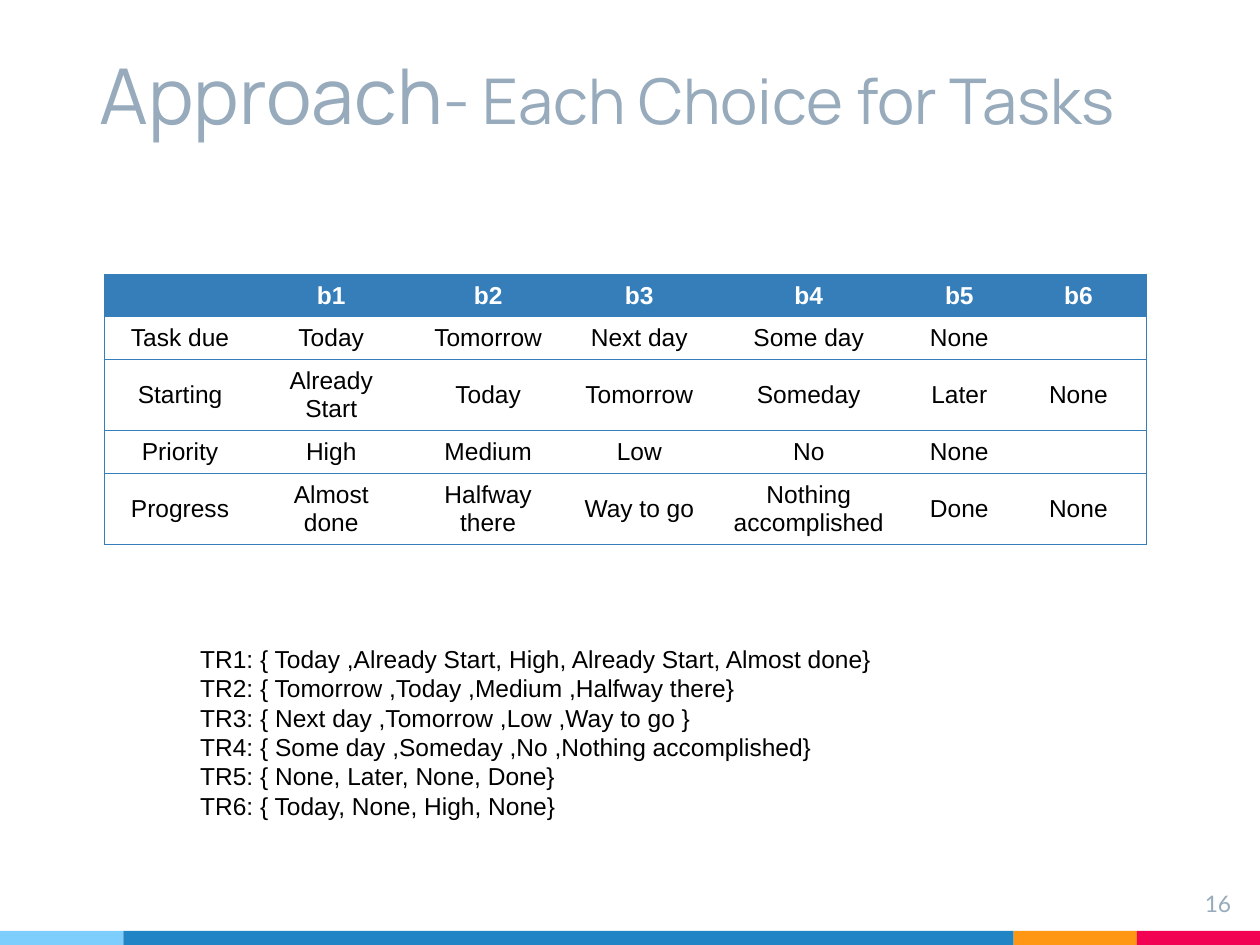
from lxml import etree
from pptx import Presentation
from pptx.dml.color import RGBColor
from pptx.enum.shapes import MSO_SHAPE
from pptx.enum.text import MSO_ANCHOR, MSO_AUTO_SIZE, PP_ALIGN
from pptx.oxml.ns import qn
from pptx.util import Pt

RECTANGLE = MSO_SHAPE.RECTANGLE
MIDDLE, BOTTOM = MSO_ANCHOR.MIDDLE, MSO_ANCHOR.BOTTOM
LEFT, CENTER, RIGHT = PP_ALIGN.LEFT, PP_ALIGN.CENTER, PP_ALIGN.RIGHT
NO_AUTOFIT = MSO_AUTO_SIZE.NONE

TABLE_BLUE = "367EB9"
TITLE_FORMAT = {"name": "Manrope", "color": "97ABBC", "bold": False}
NUMBER_FORMAT = {"name": "Lato", "size": Pt(13), "color": "97ABBC"}
BODY_FORMAT = {"name": "Arial", "size": Pt(14), "color": "000000", "bold": False}
HEADER_FORMAT = {**BODY_FORMAT, "color": "FFFFFF", "bold": True}

FOOTER_BARS = [("7ECEFD", 70.5), ("2185C5", 508.8), ("FF9715", 70.35), ("F20253", 70.35)]
COLUMN_WIDTHS = [86.4, 86.4, 92.9, 79.9, 113.8, 58.3, 77.8]
ROW_HEIGHTS = [24, 24, 40.75, 24, 40.75]
CHOICES = [
    ["", "b1", "b2", "b3", "b4", "b5", "b6"],
    ["Task due", "Today", "Tomorrow", "Next day", "Some day", "None", ""],
    ["Starting", "Already Start", "Today", "Tomorrow", "Someday", "Later", "None"],
    ["Priority", "High", "Medium", "Low", "No", "None", ""],
    ["Progress", "Almost done", "Halfway there", "Way to go ",
     "Nothing accomplished", "Done", "None"],
]
TEST_REQUIREMENTS = [
    "TR1: { Today ,Already Start, High, Already Start, Almost done}",
    "TR2: { Tomorrow ,Today ,Medium ,Halfway there}",
    "TR3: { Next day ,Tomorrow ,Low ,Way to go }",
    "TR4: { Some day ,Someday ,No ,Nothing accomplished}",
    "TR5: { None, Later, None, Done}",
    "TR6: { Today, None, High, None}",
]


def paint(color_format, color):
    color_format.rgb = RGBColor.from_string(color)


def add_run(paragraph, text, formats):
    run = paragraph.add_run()
    run.text = text
    for name, value in formats.items():
        if name == "color":
            paint(run.font.color, value)
        else:
            setattr(run.font, name, value)


def set_frame(text_frame, inset, **settings):
    settings = {"word_wrap": True, "auto_size": NO_AUTOFIT, **settings}
    for side in ("left", "top", "right", "bottom"):
        settings[f"margin_{side}"] = Pt(inset)
    for name, value in settings.items():
        setattr(text_frame, name, value)


def add_title(slide):
    title = slide.shapes.title
    title.left, title.top, title.width, title.height = map(Pt, (49.7, 46.8, 627.8, 40.3))
    set_frame(title.text_frame, 7.2, vertical_anchor=BOTTOM)
    paragraph = title.text_frame.paragraphs[0]
    paragraph.alignment = LEFT
    for text, size in (("Approach", 44), ("- Each Choice for Tasks", 36)):
        add_run(paragraph, text, {**TITLE_FORMAT, "size": Pt(size)})


def add_text_box(slide, box, lines, formats, inset, alignment=LEFT, line_pitch=None):
    text_frame = slide.shapes.add_textbox(*map(Pt, box)).text_frame
    set_frame(text_frame, inset)
    for index, line in enumerate(lines):
        paragraph = text_frame.add_paragraph() if index else text_frame.paragraphs[0]
        paragraph.alignment = alignment
        if line_pitch:
            paragraph.line_spacing = Pt(line_pitch)
        add_run(paragraph, line, formats)


def set_borders(cell, visible):
    properties = cell._tc.get_or_add_tcPr()
    for side in "LRTB":
        line = etree.SubElement(properties, qn(f"a:ln{side}"), w=str(Pt(0.75)))
        if side in visible:
            fill = etree.SubElement(line, qn("a:solidFill"))
            etree.SubElement(fill, qn("a:srgbClr"), val=TABLE_BLUE)
        else:
            etree.SubElement(line, qn("a:noFill"))


def fill_cell(cell, text, is_header, visible_borders):
    set_borders(cell, visible_borders)
    if is_header:
        cell.fill.solid()
        paint(cell.fill.fore_color, TABLE_BLUE)
    else:
        cell.fill.background()
    cell.vertical_anchor = MIDDLE
    paragraph = cell.text_frame.paragraphs[0]
    paragraph.alignment = CENTER
    if text:
        add_run(paragraph, text, HEADER_FORMAT if is_header else BODY_FORMAT)
    else:
        # Keeps an empty cell from stretching its row
        paragraph._p.get_or_add_endParaRPr().set("sz", "1400")


def add_choice_table(slide, left, top):
    last = len(COLUMN_WIDTHS) - 1
    table = slide.shapes.add_table(
        len(ROW_HEIGHTS), len(COLUMN_WIDTHS), Pt(left), Pt(top),
        Pt(sum(COLUMN_WIDTHS)), Pt(sum(ROW_HEIGHTS))).table
    for column, width in zip(table.columns, COLUMN_WIDTHS):
        column.width = Pt(width)
    for row, height in zip(table.rows, ROW_HEIGHTS):
        row.height = Pt(height)
    for row_index, texts in enumerate(CHOICES):
        for column_index, text in enumerate(texts):
            borders = "TB" + {0: "L", last: "R"}.get(column_index, "")
            fill_cell(table.cell(row_index, column_index), text, row_index == 0, borders)


def add_footer_bars(slide, top, height):
    left = 0
    for color, width in FOOTER_BARS:
        bar = slide.shapes.add_shape(RECTANGLE, Pt(left), Pt(top), Pt(width), Pt(height))
        bar.shadow.inherit = False
        bar.fill.solid()
        paint(bar.fill.fore_color, color)
        bar.line.fill.background()
        left += width


def main():
    presentation = Presentation()
    presentation.slide_width, presentation.slide_height = Pt(720), Pt(540)
    slide = presentation.slides.add_slide(presentation.slide_layouts[5])

    # Footer strip and page number
    add_footer_bars(slide, 532, 8)
    add_text_box(slide, (667.4, 501.1, 43.2, 33.1), ["16"], NUMBER_FORMAT, 7.2, RIGHT)

    # Title, table of choices and resulting test requirements
    add_title(slide)
    add_choice_table(slide, 59.7, 156.8)
    add_text_box(slide, (107.3, 364.3, 468, 108.7), TEST_REQUIREMENTS, BODY_FORMAT, 3.6,
                 line_pitch=16.8)
    # Side insets match the usual 7.2 pt text margin
    requirements = slide.shapes[-1].text_frame
    requirements.margin_left = requirements.margin_right = Pt(7.2)

    presentation.save("out.pptx")


if __name__ == "__main__":
    main()
